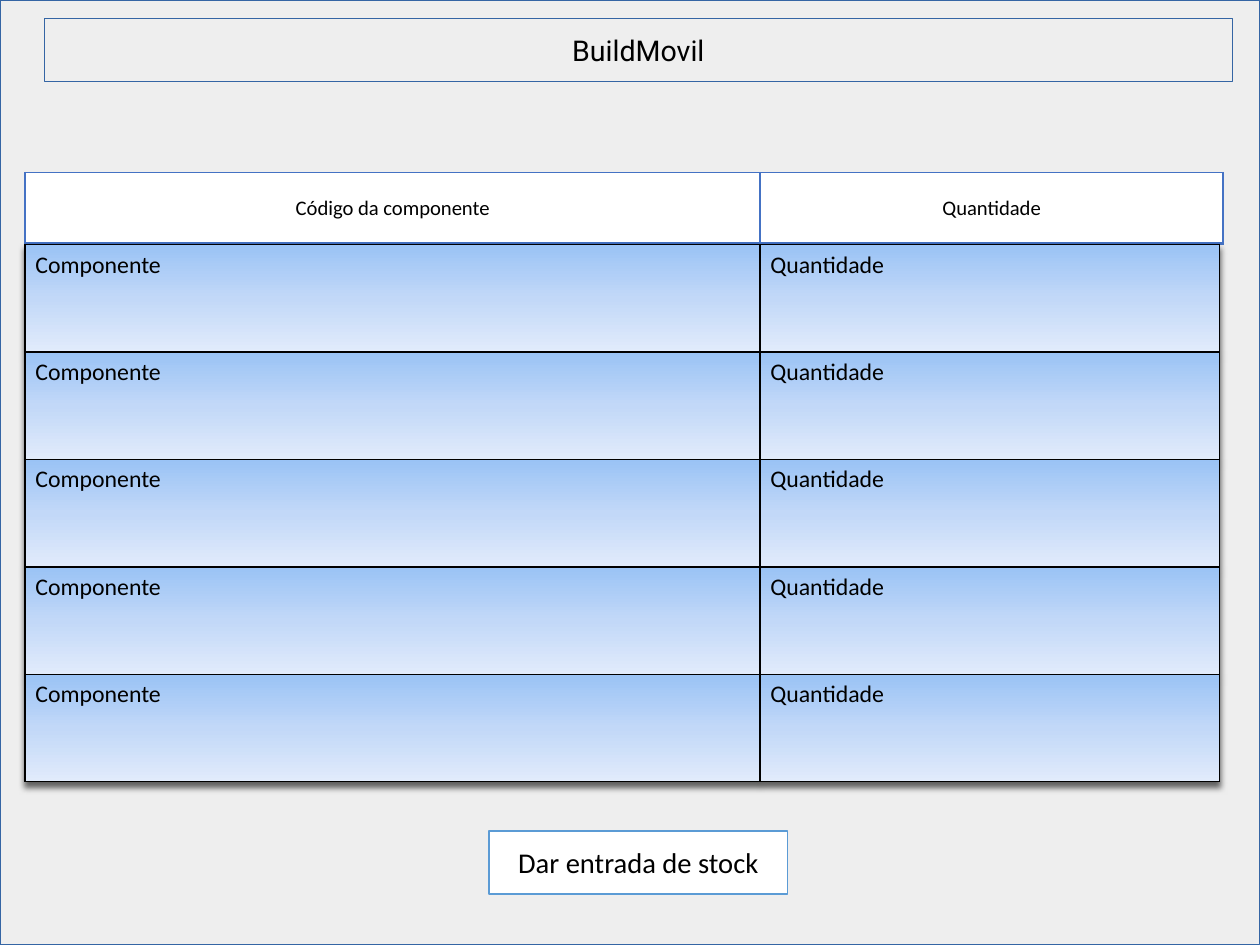
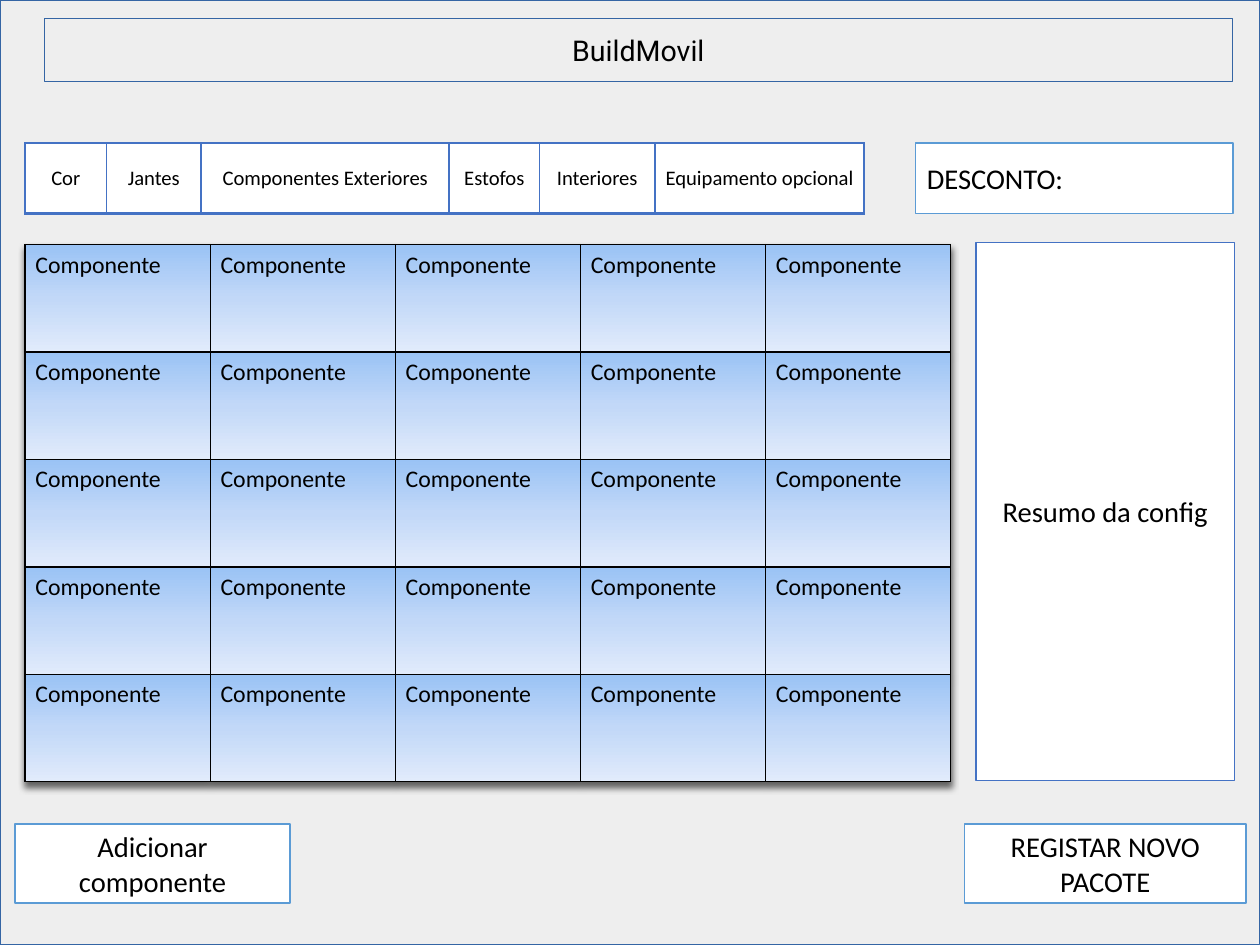
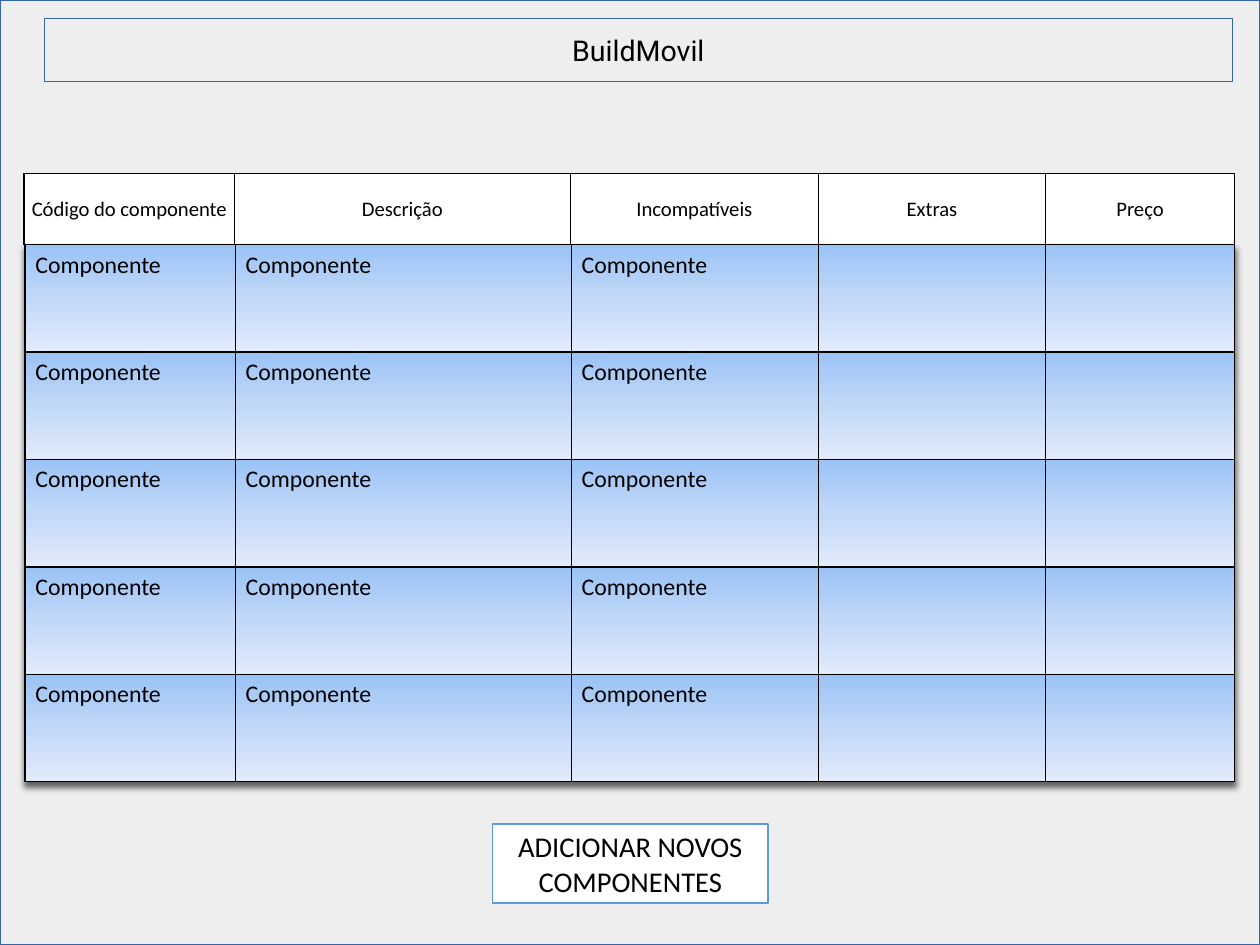
"""Build three stock and package screens with a shared frame and title."""
from dataclasses import dataclass

from pptx import Presentation
from pptx.dml.color import RGBColor
from pptx.enum.shapes import MSO_SHAPE
from pptx.enum.text import MSO_ANCHOR, PP_ALIGN
from pptx.oxml import parse_xml
from pptx.util import Inches, Pt

RECT = MSO_SHAPE.RECTANGLE
MIDDLE, TOP = MSO_ANCHOR.MIDDLE, MSO_ANCHOR.TOP
LEFT, CENTER = PP_ALIGN.LEFT, PP_ALIGN.CENTER
NS = 'xmlns:a="http://schemas.openxmlformats.org/drawingml/2006/main"'
WIDE, HIGH = 28 / 2.54, 21 / 2.54


@dataclass
class Theme:
    """Colours, fonts and type sizes."""
    page: str = "EEEEEE"
    frame: str = "3465A4"
    white: str = "FFFFFF"
    black: str = "000000"
    blue: str = "4472C4"
    sky: str = "5B9BD5"
    fade: tuple = ((0, "9AC3F5"), (50, "C2D8F8"), (100, "E1EBFB"))
    title: str = "Roboto"
    body: str = "Calibri"
    large: int = 18
    mid: int = 15
    small: int = 13


look = Theme()
stops = "".join(
    f'<a:gs pos="{pos * 1000}"><a:srgbClr val="{tint}"/></a:gs>' for pos, tint in look.fade)
FADE = (f'<a:gradFill {NS} rotWithShape="1"><a:gsLst>{stops}</a:gsLst>'
        '<a:lin ang="5400000" scaled="0"/></a:gradFill>')
SHADOW = (f'<a:effectLst {NS}><a:outerShdw blurRad="50800" dist="38100" dir="5400000" '
          'algn="ctr" rotWithShape="0"><a:srgbClr val="000000"><a:alpha val="60000"/>'
          '</a:srgbClr></a:outerShdw></a:effectLst>')


def box(slide, place, text="", fill=look.white, edge=look.sky, width=1,
        font=look.body, align=CENTER, wrap=True):
    """Add an outlined rectangle with one line of text."""
    shape = slide.shapes.add_shape(RECT, *map(Inches, place))
    shape.shadow.inherit = False
    shape.fill.solid()
    shape.fill.fore_color.rgb = RGBColor.from_string(fill)
    shape.line.color.rgb = RGBColor.from_string(edge)
    shape.line.width = Pt(width)
    if text:
        frame = shape.text_frame
        frame.word_wrap = wrap
        frame.vertical_anchor = MIDDLE
        para = frame.paragraphs[0]
        para.alignment = align
        run = para.add_run()
        run.text = text
        run.font.name = font
        run.font.size = Pt(look.large)
        run.font.color.rgb = RGBColor.from_string(look.black)


def grid(slide, left, top, cols, rows, head=False, edge=look.black, base=1):
    """Add a white heading row or a shaded table body."""
    high = 0.62 if head else 0.94
    table = slide.shapes.add_table(
        len(rows), len(cols), Inches(left), Inches(top),
        Inches(sum(cols)), Inches(high * len(rows))).table
    table.first_row = table.horz_banding = False
    if not head:
        table._tbl.tblPr.insert(0, parse_xml(SHADOW))
    for col, wide in zip(table.columns, cols):
        col.width = Inches(wide)
    for line, words in zip(table.rows, rows):
        line.height = Inches(high)
        for cell, text in zip(line.cells, words):
            cell.margin_left = cell.margin_right = Inches(0.05 if head else 0.09)
            cell.margin_top = cell.margin_bottom = Inches(0.05)
            cell.vertical_anchor = MIDDLE if head else TOP
            props = cell._tc.get_or_add_tcPr()
            for side, width in zip("LRTB", (1, 1, 1, base)):
                props.append(parse_xml(
                    f'<a:ln{side} {NS} w="{Pt(width)}"><a:solidFill>'
                    f'<a:srgbClr val="{edge}"/></a:solidFill></a:ln{side}>'))
            if head:
                cell.fill.solid()
                cell.fill.fore_color.rgb = RGBColor.from_string(look.white)
            else:
                props.append(parse_xml(FADE))
            if text:
                para = cell.text_frame.paragraphs[0]
                para.alignment = CENTER if head else LEFT
                run = para.add_run()
                run.text = text
                run.font.name = look.body
                run.font.size = Pt(look.small if head else look.mid)
                run.font.color.rgb = RGBColor.from_string(look.black)


deck = Presentation()
deck.slide_width, deck.slide_height = Inches(WIDE), Inches(HIGH)
slides = [deck.slides.add_slide(deck.slide_layouts[6]) for _ in range(3)]
for slide in slides:
    box(slide, (0, 0, WIDE, HIGH), fill=look.page, edge=look.frame, width=0)
    box(slide, (0.39, 0.16, 10.39, 0.55), "BuildMovil", look.page, look.frame, 0,
        look.title, wrap=False)
stock, pack, parts = slides
item = "Componente"

grid(stock, 0.22, 1.51, (6.43, 4.05), [("Código da componente", "Quantidade")],
     True, look.blue, 2)
grid(stock, 0.22, 2.14, (6.43, 4.02), [(item, "Quantidade")] * 5)
box(stock, (4.28, 7.27, 2.61, 0.55), "Dar entrada de stock")

grid(pack, 0.22, 1.25, (0.71, 0.83, 2.17, 0.79, 1.01, 1.83),
     [("Cor", "Jantes", "Componentes Exteriores", "Estofos", "Interiores",
       "Equipamento opcional")], True, look.blue, 2)
grid(pack, 0.22, 2.14, [1.62] * 5, [[item] * 5] * 5)
box(pack, (8.54, 2.12, 2.26, 4.71), "Resumo da config", edge=look.blue)
box(pack, (0.13, 7.21, 2.41, 0.69), "Adicionar componente")
box(pack, (8.44, 7.21, 2.46, 0.69), "REGISTAR NOVO PACOTE")
box(pack, (8.01, 1.25, 2.78, 0.62), "DESCONTO:", align=LEFT)

grid(parts, 0.21, 1.52, (1.84, 2.94, 2.17, 1.99, 1.65),
     [("Código do componente", "Descrição", "Incompatíveis", "Extras", "Preço")], True)
grid(parts, 0.22, 2.14, (1.84, 2.94, 2.16, 1.99, 1.65), [[item] * 3 + [""] * 2] * 5)
box(parts, (4.31, 7.21, 2.41, 0.69), "ADICIONAR NOVOS COMPONENTES")

deck.save("out.pptx")
